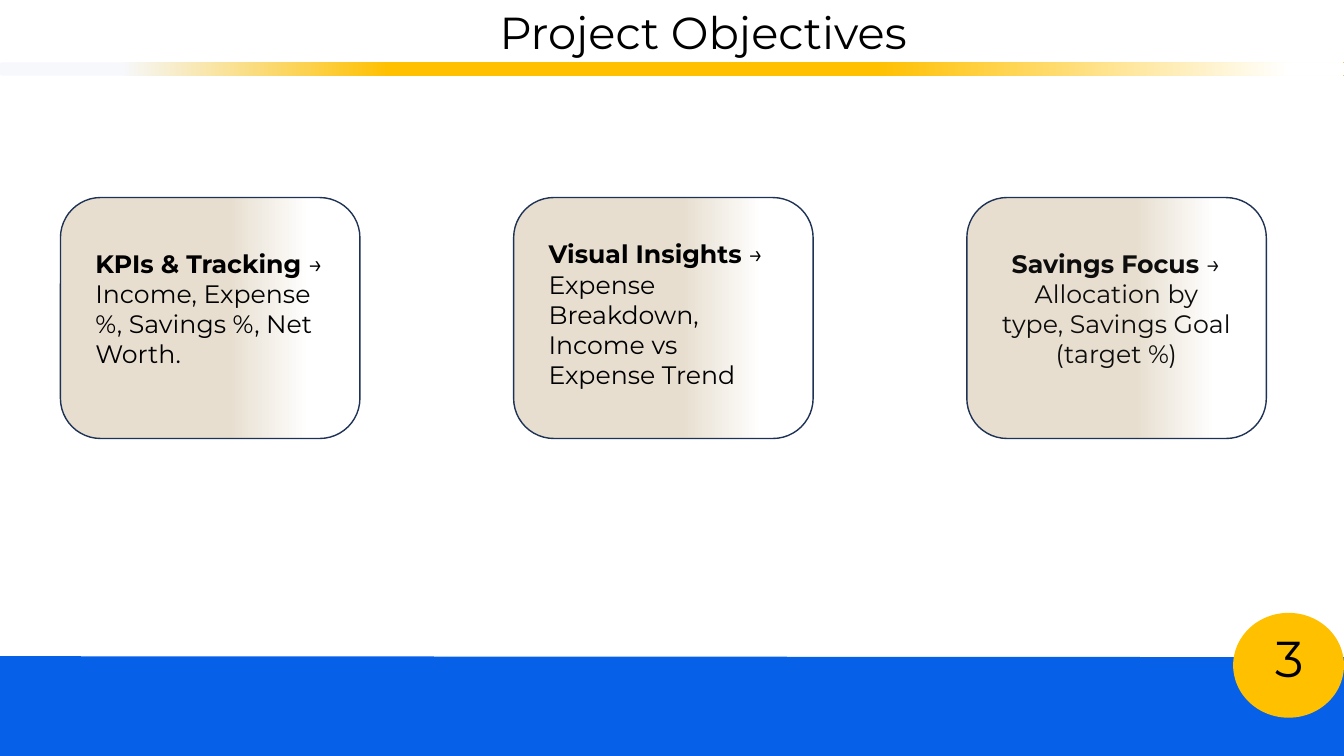
from lxml import etree
from pptx import Presentation
from pptx.dml.color import RGBColor
from pptx.enum.shapes import MSO_SHAPE
from pptx.enum.text import MSO_ANCHOR, PP_ALIGN
from pptx.oxml.ns import qn
from pptx.util import Inches, Pt

ROUNDED = MSO_SHAPE.ROUNDED_RECTANGLE
CONNECTOR_DISC = MSO_SHAPE.FLOWCHART_CONNECTOR
LEFT, CENTER = PP_ALIGN.LEFT, PP_ALIGN.CENTER
TOP = MSO_ANCHOR.TOP
TITLE_ONLY = 5

SLIDE_WIDTH, SLIDE_HEIGHT = Inches(13.33), Inches(7.5)
FONT = "Montserrat"
BLACK, BLUE, AMBER, NAVY = "000000", "0661E8", "FFC000", "1E3256"
BAR_STOPS = [(9, "F6F8FC"), (29, AMBER), (65, AMBER), (96, "FFFFFF")]
CARD_STOPS = [(56, "E7DECF"), (83, "FFFFFF")]

CARD_LEFT, CARD_PITCH, CARD_WIDTH = 4.5, 33.72, 22.28
CARD_TOP, CARD_HEIGHT = 26.13, 31.87
TEXT_INDENT, TEXT_WIDTH = 1.86, 18.53
CARDS = [
    ("KPIs & Tracking", " → Income, Expense %, Savings %, Net Worth.",
     LEFT, BLACK, 32.13, 17.47),
    ("Visual Insights", " → Expense Breakdown, Income vs Expense Trend",
     LEFT, BLACK, 30.93, 25.6),
    ("Savings Focus", " → Allocation by type, Savings Goal (target %)",
     CENTER, "0D0D0D", 32.13, 17.47),
]


def color(value):
    return RGBColor.from_string(value)


def across(percent):
    return round(SLIDE_WIDTH * percent / 100)


def down(percent):
    return round(SLIDE_HEIGHT * percent / 100)


def area(left, top, width, height):
    return across(left), down(top), across(width), down(height)


def fill_solid(shape, value):
    shape.shadow.inherit = False
    shape.fill.solid()
    shape.fill.fore_color.rgb = color(value)
    shape.line.fill.background()


def fill_gradient(shape, stops):
    shape.shadow.inherit = False
    shape.line.fill.background()
    shape.fill.gradient()
    shape.fill.gradient_angle = 0
    stop_list = shape._element.spPr.find(".//" + qn("a:gsLst"))
    for stop in list(stop_list):
        stop_list.remove(stop)
    for position, value in stops:
        stop = etree.SubElement(stop_list, qn("a:gs"), pos=str(position * 1000))
        etree.SubElement(stop, qn("a:srgbClr"), val=value)


def write_text(box, spans, size, value, alignment=LEFT):
    frame = box.text_frame
    frame.word_wrap = True
    frame.vertical_anchor = TOP
    para = frame.paragraphs[0]
    para.alignment = alignment
    para.font.name = FONT
    para.font.size = Pt(size)
    para.font.color.rgb = color(value)
    for text, bold in spans:
        span = para.add_run()
        span.text = text
        span.font.bold = bold


def add_footer(page):
    builder = page.shapes.build_freeform(0, down(86.8))
    builder.add_line_segments([
        (across(100), down(86.93)), (across(100), down(100)), (0, down(100)),
    ])
    fill_solid(builder.convert_to_shape(), BLUE)


def add_page_number(page):
    disc = page.shapes.add_shape(CONNECTOR_DISC, *area(91.75, 81.07, 8.25, 13.87))
    fill_solid(disc, AMBER)
    box = page.shapes.add_textbox(*area(94.15, 82.27, 4.43, 9.47))
    write_text(box, [("3", False)], 36, BLACK)


def add_heading(page):
    bar = page.shapes.add_shape(ROUNDED, *area(0, 8.27, 100, 1.73))
    fill_gradient(bar, BAR_STOPS)
    title = page.shapes.title
    title.left, title.top, title.width, title.height = area(29.11, 0, 46.44, 8.53)
    write_text(title, [("Project Objectives", False)], 32, BLACK, CENTER)


def add_card(page, column, heading, detail, alignment, value, top, height):
    left = CARD_LEFT + column * CARD_PITCH
    card = page.shapes.add_shape(
        ROUNDED, *area(left, CARD_TOP, CARD_WIDTH, CARD_HEIGHT))
    fill_gradient(card, CARD_STOPS)
    card.line.color.rgb = color(NAVY)
    card.line.width = Pt(1)
    box = page.shapes.add_textbox(
        *area(left + TEXT_INDENT, top, TEXT_WIDTH, height))
    write_text(box, [(heading, True), (detail, False)], 18, value, alignment)


def main():
    deck = Presentation()
    deck.slide_width, deck.slide_height = SLIDE_WIDTH, SLIDE_HEIGHT
    page = deck.slides.add_slide(deck.slide_layouts[TITLE_ONLY])
    add_footer(page)
    add_heading(page)
    for column, card in enumerate(CARDS):
        add_card(page, column, *card)
    add_page_number(page)
    deck.save("out.pptx")


if __name__ == "__main__":
    main()
